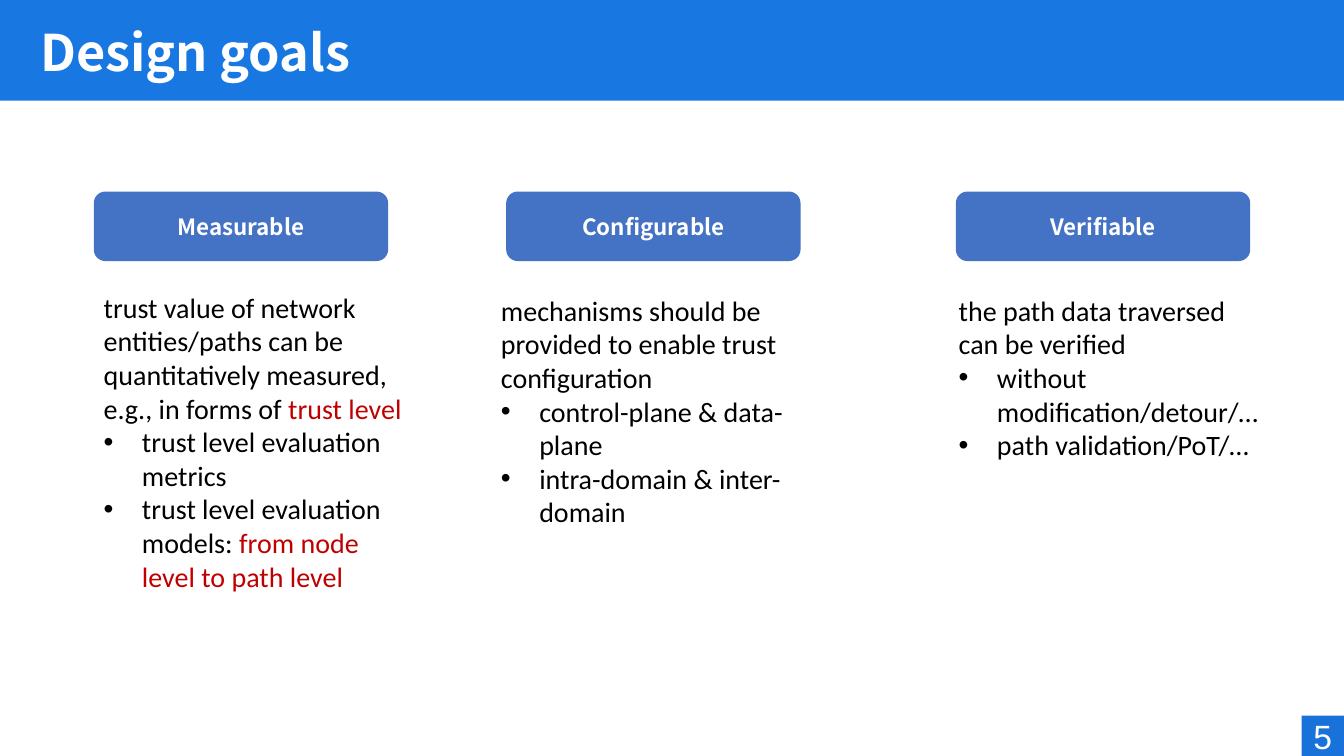
from dataclasses import dataclass

from lxml import etree
from pptx import Presentation
from pptx.dml.color import RGBColor
from pptx.enum.shapes import MSO_SHAPE
from pptx.enum.text import MSO_ANCHOR, MSO_AUTO_SIZE, PP_ALIGN
from pptx.oxml.ns import qn
from pptx.shapes.autoshape import Shape
from pptx.slide import Slide
from pptx.text.text import TextFrame, _Paragraph
from pptx.util import Inches, Pt

RECT, ROUNDED = MSO_SHAPE.RECTANGLE, MSO_SHAPE.ROUNDED_RECTANGLE
MIDDLE, CENTER, LEFT = MSO_ANCHOR.MIDDLE, PP_ALIGN.CENTER, PP_ALIGN.LEFT
GROW = MSO_AUTO_SIZE.SHAPE_TO_FIT_TEXT
TITLE_ONLY = 5


@dataclass(frozen=True)
class Theme:
    header: str = "1977E2"
    page_badge: str = "1872D9"
    label: str = "4472C4"
    white: str = "FFFFFF"
    text: str = "000000"
    accent: str = "C00000"
    heading_font: str = "Noto Sans CJK SC"
    body_font: str = "Calibri"
    page_font: str = "Arial"
    title_size: int = 36
    label_size: int = 16
    body_size: int = 20
    page_size: int = 24


@dataclass(frozen=True)
class Box:
    left: float
    top: float
    width: float
    height: float

    def lengths(self) -> list[int]:
        return [Inches(v) for v in (self.left, self.top, self.width, self.height)]


@dataclass(frozen=True)
class Line:
    text: str
    accent: str = ""
    bullet: bool = True


@dataclass(frozen=True)
class Goal:
    name: str
    label_left: float
    body: Box
    lines: tuple[Line, ...]


THEME = Theme()
LABEL_TOP, LABEL_WIDTH, LABEL_HEIGHT = 1.9, 2.92, 0.69
BULLET_INDENT = 0.38
GOALS = (
    Goal("Measurable", 0.93, Box(0.93, 2.83, 3.22, 3.13), (
        Line("trust value of network entities/paths can be quantitatively "
             "measured, e.g., in forms of ", "trust level", bullet=False),
        Line("trust level evaluation metrics"),
        Line("trust level evaluation models: ", "from node level to path level"),
    )),
    Goal("Configurable", 5.02, Box(4.87, 2.86, 3.22, 3.47), (
        Line("mechanisms should be provided to enable trust configuration", bullet=False),
        Line("control-plane & data-plane"),
        Line("intra-domain & inter-domain"),
    )),
    Goal("Verifiable", 9.48, Box(9.41, 2.86, 3.22, 1.78), (
        Line("the path data traversed can be verified", bullet=False),
        Line("without modification/detour/…"),
        Line("path validation/PoT/…"),
    )),
)


def add_run(p: _Paragraph, text: str, font: str, size: int, color: str,
            bold: bool = False) -> None:
    r = p.add_run()
    r.text = text
    for name, value in {"name": font, "size": Pt(size), "bold": bold}.items():
        setattr(r.font, name, value)
    r.font.color.rgb = RGBColor.from_string(color)


def add_panel(s: Slide, kind: MSO_SHAPE, box: Box, color: str) -> Shape:
    """Add a flat filled shape without outline or shadow."""
    sp = s.shapes.add_shape(kind, *box.lengths())
    sp.shadow.inherit = False
    sp.fill.solid()
    sp.fill.fore_color.rgb = RGBColor.from_string(color)
    sp.line.fill.background()
    return sp


def center_text(sp: Shape) -> _Paragraph:
    tf = sp.text_frame
    tf.vertical_anchor = MIDDLE
    p = tf.paragraphs[0]
    p.alignment = CENTER
    return p


def set_bullet(p: _Paragraph) -> None:
    ppr = p._p.get_or_add_pPr()
    indent = Inches(BULLET_INDENT)
    ppr.set("marL", str(indent))
    ppr.set("indent", str(-indent))
    etree.SubElement(ppr, qn("a:buFont"), typeface=THEME.page_font)
    etree.SubElement(ppr, qn("a:buChar"), char="•")


def fill_lines(tf: TextFrame, lines: tuple[Line, ...]) -> None:
    for i, line in enumerate(lines):
        p = tf.add_paragraph() if i else tf.paragraphs[0]
        if line.bullet:
            set_bullet(p)
        for text, color in ((line.text, THEME.text), (line.accent, THEME.accent)):
            if text:
                add_run(p, text, THEME.body_font, THEME.body_size, color)


def add_header(s: Slide, title: str) -> None:
    bar = add_panel(s, RECT, Box(0, 0, 13.35, 1), THEME.header)
    sp = s.shapes.title
    sp._element.addprevious(bar._element)
    sp.left, sp.top, sp.width, sp.height = Box(0.3, 0.05, 12.12, 1).lengths()
    tf = sp.text_frame
    tf.vertical_anchor = MIDDLE
    p = tf.paragraphs[0]
    p.alignment = LEFT
    p.line_spacing = 0.9
    add_run(p, title, THEME.heading_font, THEME.title_size, THEME.white, bold=True)


def add_page_number(s: Slide, number: str) -> None:
    sp = add_panel(s, RECT, Box(12.91, 7.1, 0.42, 0.4), THEME.page_badge)
    sp.text_frame.word_wrap = False
    add_run(center_text(sp), number, THEME.page_font, THEME.page_size, THEME.white)


def add_label(s: Slide, goal: Goal) -> None:
    box = Box(goal.label_left, LABEL_TOP, LABEL_WIDTH, LABEL_HEIGHT)
    sp = add_panel(s, ROUNDED, box, THEME.label)
    add_run(center_text(sp), goal.name, THEME.heading_font, THEME.label_size,
            THEME.white, bold=True)


def add_body(s: Slide, goal: Goal) -> None:
    tf = s.shapes.add_textbox(*goal.body.lengths()).text_frame
    tf.word_wrap = True
    tf.auto_size = GROW
    fill_lines(tf, goal.lines)


def main() -> None:
    prs = Presentation()
    prs.slide_width, prs.slide_height = Inches(13.33), Inches(7.5)
    s = prs.slides.add_slide(prs.slide_layouts[TITLE_ONLY])
    add_header(s, "Design goals")
    add_page_number(s, "5")
    for goal in GOALS:
        add_label(s, goal)
        add_body(s, goal)
    prs.save("out.pptx")


if __name__ == "__main__":
    main()
